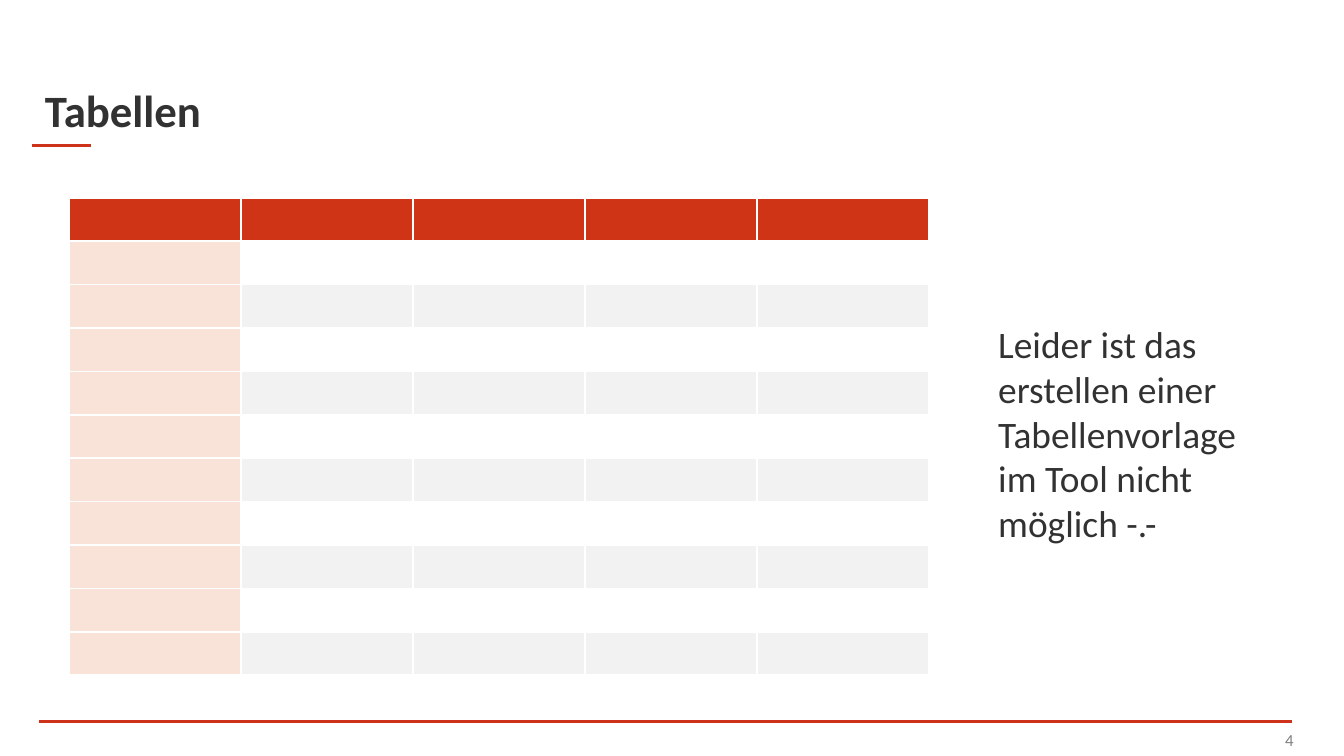
import pptx
import pptx.dml.color
import pptx.enum.shapes
import pptx.enum.text
import pptx.oxml
import pptx.oxml.ns
import pptx.util

Pt = pptx.util.Pt
RGBColor = pptx.dml.color.RGBColor
ANCHOR = pptx.enum.text.MSO_ANCHOR
ALIGN = pptx.enum.text.PP_ALIGN

RED = RGBColor(0xCE, 0x32, 0x1A)
HEADER = RGBColor(0xCE, 0x34, 0x15)
FIRST_COLUMN = RGBColor(0xF9, 0xE3, 0xD8)
BAND = RGBColor(0xF2, 0xF2, 0xF2)
WHITE = RGBColor(0xFF, 0xFF, 0xFF)
DARK = RGBColor(0x32, 0x32, 0x32)
GRAY = RGBColor(0x80, 0x80, 0x80)


class SlideBuilder:
    """Draws styled elements on one slide, with lengths in points."""

    font = "Calibri"
    rule_width = 1.5
    border_width = 1

    def __init__(self, s):
        self.s = s

    def text(self, x, y, w, h, text, size, color, bold=False, align=ALIGN.LEFT,
             anchor=ANCHOR.TOP, inset=7.2, after=0):
        sp = self.s.shapes.add_textbox(Pt(x), Pt(y), Pt(w), Pt(h))
        tf = sp.text_frame
        tf.word_wrap = True
        tf.vertical_anchor = anchor
        tf.margin_left = tf.margin_right = Pt(inset)
        p = tf.paragraphs[0]
        p.alignment = align
        p.space_after = Pt(after)
        r = p.add_run()
        r.text = text
        r.font.name = self.font
        r.font.size = Pt(size)
        r.font.bold = bold
        r.font.color.rgb = color
        return sp

    def rule(self, x1, x2, y):
        line = self.s.shapes.add_connector(
            pptx.enum.shapes.MSO_CONNECTOR.STRAIGHT, Pt(x1), Pt(y), Pt(x2), Pt(y))
        line.line.color.rgb = RED
        line.line.width = Pt(self.rule_width)
        line._element.spPr.append(pptx.oxml.parse_xml(
            f'<a:effectLst {pptx.oxml.ns.nsdecls("a")}/>'))

    def border(self, cell):
        tcPr = cell._tc.get_or_add_tcPr()
        for i, side in enumerate(("lnL", "lnR", "lnT", "lnB")):
            tcPr.insert(i, pptx.oxml.parse_xml(
                f'<a:{side} {pptx.oxml.ns.nsdecls("a")} w="{Pt(self.border_width)}">'
                f'<a:solidFill><a:srgbClr val="{WHITE}"/></a:solidFill></a:{side}>'))

    def cell_color(self, row, col):
        if row == 0:
            return HEADER
        if col == 0:
            return FIRST_COLUMN
        return WHITE if row % 2 else BAND

    def table(self, x, y, w, h, rows, cols):
        table = self.s.shapes.add_table(rows, cols, Pt(x), Pt(y), Pt(w), Pt(h)).table
        for row in range(rows):
            for col in range(cols):
                cell = table.cell(row, col)
                cell.fill.solid()
                cell.fill.fore_color.rgb = self.cell_color(row, col)
                self.border(cell)
                p = cell.text_frame.paragraphs[0]
                p._p.get_or_add_endParaRPr().set("sz", "1000")


def main():
    prs = pptx.Presentation()
    prs.slide_width, prs.slide_height = Pt(720), Pt(405)
    s = prs.slides.add_slide(prs.slide_layouts[6])
    s.background.fill.solid()
    s.background.fill.fore_color.rgb = WHITE
    b = SlideBuilder(s)

    b.text(532, 388, 168, 17.5, "4", 9, GRAY, align=ALIGN.RIGHT, anchor=ANCHOR.BOTTOM)
    b.rule(17, 49, 78)
    b.rule(21, 692, 386.5)
    b.text(17, 16.5, 599, 60, "Tabellen", 24, DARK, bold=True, anchor=ANCHOR.BOTTOM)
    b.table(37, 106, 460.8, 255.75, rows=11, cols=5)
    note = b.text(529, 168.5, 153.5, 128, "Leider ist das erstellen einer Tabellenvorlage "
                  "im Tool nicht möglich -.-", 20, DARK, inset=5.75, after=6)
    note.text_frame.auto_size = pptx.enum.text.MSO_AUTO_SIZE.SHAPE_TO_FIT_TEXT

    prs.save("out.pptx")


if __name__ == "__main__":
    main()
